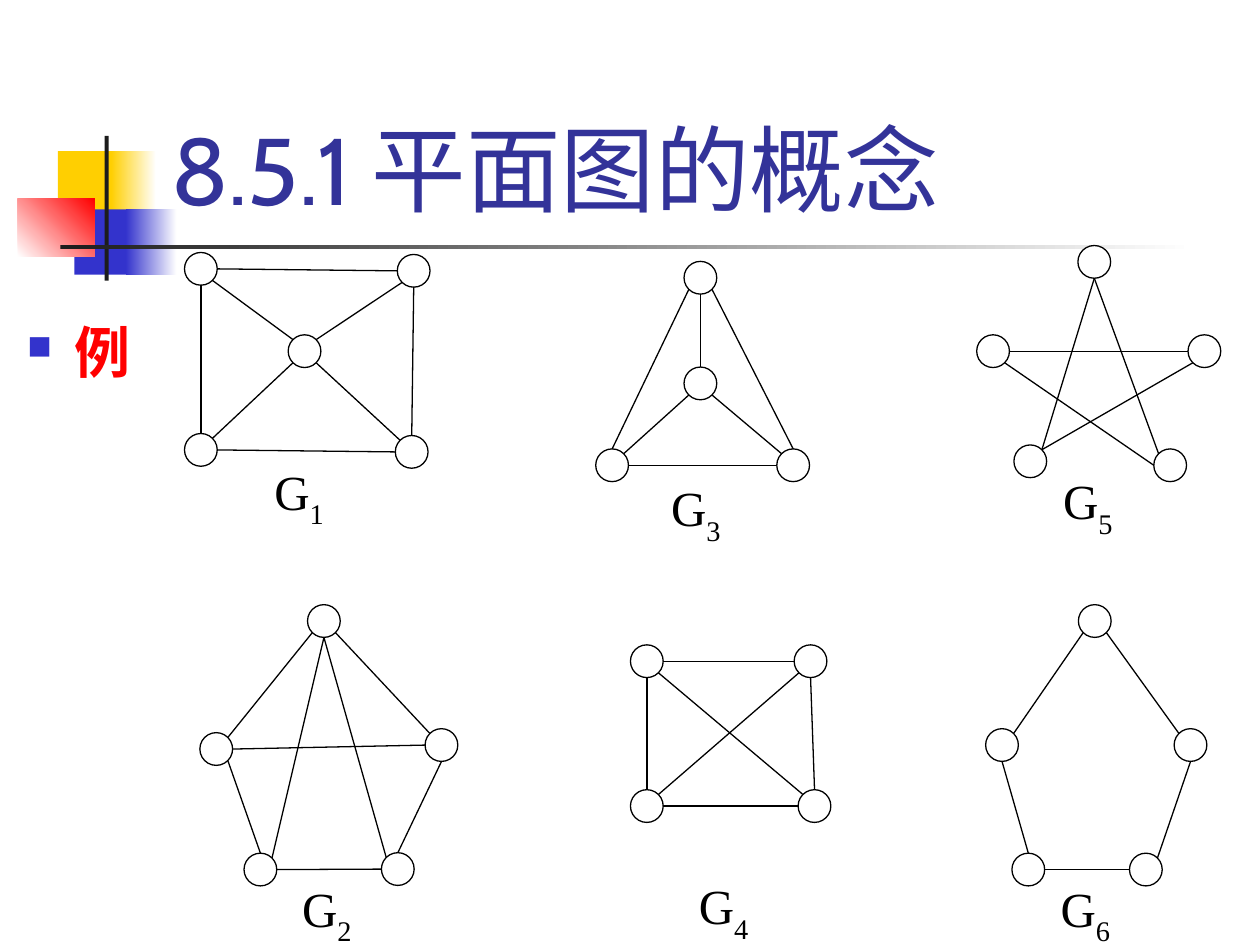
"""Build a slide that shows six small graphs as examples for planar graphs."""
import dataclasses
import math

import lxml.etree
import pptx
import pptx.dml.color
import pptx.enum.shapes
import pptx.enum.text
import pptx.oxml.ns
import pptx.util

Cm = pptx.util.Cm
Pt = pptx.util.Pt
SHAPE = pptx.enum.shapes.MSO_SHAPE
ANCHOR = pptx.enum.text.MSO_ANCHOR


@dataclasses.dataclass(frozen=True)
class Theme:
    white: str = "FFFFFF"
    black: str = "000000"
    dark: str = "1C1C1C"
    yellow: str = "FFCF01"
    blue: str = "3333CC"
    red: str = "FF0000"
    title: str = "333399"
    sans: str = "Cabin"
    serif: str = "Times New Roman"
    title_size: int = 54
    body_size: int = 32
    label_size: int = 28
    line_width: float = 0.75
    node_size: float = 0.66
    label_width: float = 2.21
    label_height: float = 1.93


THEME = Theme()

BLOCKS = [
    ((1.17, 3.05, 1.22, 1.32), (THEME.yellow,), 0),
    ((2.24, 3.05, 0.91, 1.32), (THEME.yellow, THEME.white), 0),
    ((1.50, 4.22, 1.17, 1.32), (THEME.blue,), 0),
    ((2.54, 4.22, 1.02, 1.32), (THEME.blue, THEME.white), 0),
    ((0.36, 4.01, 1.55, 1.17), (THEME.white, THEME.red), 45),
    ((2.11, 2.74, 0.08, 2.92), (THEME.dark,), 0),
    ((1.22, 4.94, 22.86, 0.09), (THEME.dark, THEME.white), 0),
]

COMPASS = ["E", "SE", "S", "SW", "W", "NW", "N", "NE"]

GRAPHS = [
    {
        "label": ("1", 5.28, 9.17),
        "nodes": {"tl": (4.05, 5.42), "tr": (8.34, 5.46), "mid": (6.14, 7.08),
                  "bl": (4.05, 9.07), "br": (8.30, 9.11)},
        "edges": ["tl E tr W", "tl S bl N", "bl E br W", "tr S br N",
                  "tr SW mid NE", "tl SE mid NW", "mid SE br NW", "mid SW bl NE"],
    },
    {
        "label": ("2", 5.84, 17.58),
        "nodes": {"top": (6.53, 12.52), "l": (4.36, 15.10), "r": (8.90, 15.02),
                  "bl": (5.25, 17.53), "br": (8.02, 17.52)},
        "edges": ["top SW l NE", "top SE r NW", "l SE bl N", "r S br N",
                  "bl E br W", "l E r W", "top S bl NE", "top S br NW"],
    },
    {
        "label": ("3", 13.28, 9.50),
        "nodes": {"top": (14.12, 5.60), "mid": (14.12, 7.73),
                  "bl": (12.34, 9.38), "br": (15.99, 9.38)},
        "edges": ["top SW bl N", "top SE br N", "top S mid N", "bl E br W",
                  "mid SE br NW", "mid SW bl NE"],
    },
    {
        "label": ("4", 13.84, 17.53),
        "nodes": {"tl": (13.04, 13.33), "tr": (16.34, 13.33),
                  "bl": (13.04, 16.25), "br": (16.42, 16.25)},
        "edges": ["tl E tr W", "tl S bl N", "bl E br W", "tr S br N",
                  "tl SE br NW", "tr SW bl NE"],
    },
    {
        "label": ("5", 21.18, 9.37),
        "nodes": {"top": (22.06, 5.28), "l": (20.02, 7.08), "r": (24.28, 7.08),
                  "bl": (20.77, 9.30), "br": (23.59, 9.38)},
        "edges": ["l E r W", "r SW bl NE", "bl NE top S", "top S br NW", "l SE br W"],
    },
    {
        "label": ("6", 21.13, 17.58),
        "nodes": {"top": (22.07, 12.52), "l": (20.20, 15.02), "r": (24.00, 15.02),
                  "bl": (20.73, 17.53), "br": (23.10, 17.53)},
        "edges": ["top SW l NE", "top SE r NW", "r S br NE", "l S bl N", "bl E br W"],
    },
]


def rgb(value):
    return pptx.dml.color.RGBColor.from_string(value)


class Builder:
    def __init__(self, slide, theme):
        self.slide = slide
        self.theme = theme

    def shape(self, kind, box, colours, angle=0, line=None):
        sp = self.slide.shapes.add_shape(kind, *map(Cm, box))
        sp.shadow.inherit = False
        if len(colours) == 1:
            sp.fill.solid()
            sp.fill.fore_color.rgb = rgb(colours[0])
        else:
            sp.fill.gradient()
            sp.fill.gradient_angle = angle
            for stop, colour in zip(sp.fill.gradient_stops, colours):
                stop.color.rgb = rgb(colour)
        if line:
            sp.line.color.rgb = rgb(line)
            sp.line.width = Pt(self.theme.line_width)
        else:
            sp.line.fill.background()
        return sp

    def run(self, p, text, font, size, colour, bold=False):
        r = p.add_run()
        r.text = text
        r.font.name = font
        r.font.size = Pt(size)
        r.font.bold = bold
        r.font.color.rgb = rgb(colour)
        return r

    def text(self, box, text, size, colour, anchor=ANCHOR.TOP, bold=False):
        tf = self.slide.shapes.add_textbox(*map(Cm, box)).text_frame
        tf.word_wrap = True
        tf.vertical_anchor = anchor
        p = tf.paragraphs[0]
        self.run(p, text, self.theme.sans, size, colour, bold)
        return p

    def bullet(self, p, colour, percent, indent):
        pPr = p._p.get_or_add_pPr()
        pPr.set("marL", str(Cm(indent)))
        pPr.set("indent", str(-Cm(indent)))
        qn = pptx.oxml.ns.qn
        clr = lxml.etree.SubElement(pPr, qn("a:buClr"))
        lxml.etree.SubElement(clr, qn("a:srgbClr"), val=colour)
        lxml.etree.SubElement(pPr, qn("a:buSzPct"), val=str(percent * 1000))
        lxml.etree.SubElement(pPr, qn("a:buChar"), char="■")

    def label(self, index, left, top):
        t = self.theme
        box = (left, top, t.label_width, t.label_height)
        tf = self.shape(SHAPE.RECTANGLE, box, (t.white,), line=t.white).text_frame
        tf.vertical_anchor = ANCHOR.TOP
        p = tf.paragraphs[0]
        p.alignment = pptx.enum.text.PP_ALIGN.LEFT
        self.run(p, "G", t.serif, t.label_size, t.black)
        r = self.run(p, index, t.serif, t.label_size, t.black)
        r._r.get_or_add_rPr().set("baseline", "-30000")

    def node(self, x, y):
        d = self.theme.node_size
        box = (x - d / 2, y - d / 2, d, d)
        self.shape(SHAPE.OVAL, box, (self.theme.white,), line=self.theme.black)

    def rim(self, centre, direction):
        angle = COMPASS.index(direction) * math.pi / 4
        radius = self.theme.node_size / 2
        x, y = centre
        return Cm(x + radius * math.cos(angle)), Cm(y + radius * math.sin(angle))

    def edge(self, start, end):
        kind = pptx.enum.shapes.MSO_CONNECTOR.STRAIGHT
        cxn = self.slide.shapes.add_connector(kind, *start, *end)
        cxn.line.color.rgb = rgb(self.theme.black)
        cxn.line.width = Pt(self.theme.line_width)
        lxml.etree.SubElement(cxn._element.spPr, pptx.oxml.ns.qn("a:effectLst"))

    def graph(self, label, nodes, edges):
        self.label(*label)
        for centre in nodes.values():
            self.node(*centre)
        for edge in edges:
            a, a_side, b, b_side = edge.split()
            self.edge(self.rim(nodes[a], a_side), self.rim(nodes[b], b_side))


def main():
    prs = pptx.Presentation()
    prs.slide_width, prs.slide_height = Cm(25.4), Cm(19.05)
    b = Builder(prs.slides.add_slide(prs.slide_layouts[6]), THEME)
    for box, colours, angle in BLOCKS:
        b.shape(SHAPE.RECTANGLE, box, colours, angle)
    b.text((3.2, 0.58, 21.64, 4.06), "8.5.1 平面图的概念",
           THEME.title_size, THEME.title, ANCHOR.BOTTOM)
    p = b.text((0.3, 4.93, 25.1, 14.12), "例", THEME.body_size, THEME.red, bold=True)
    b.bullet(p, THEME.blue, 60, 0.95)
    p.line_spacing = 2.0
    for graph in GRAPHS:
        b.graph(**graph)
    prs.save("out.pptx")


if __name__ == "__main__":
    main()
